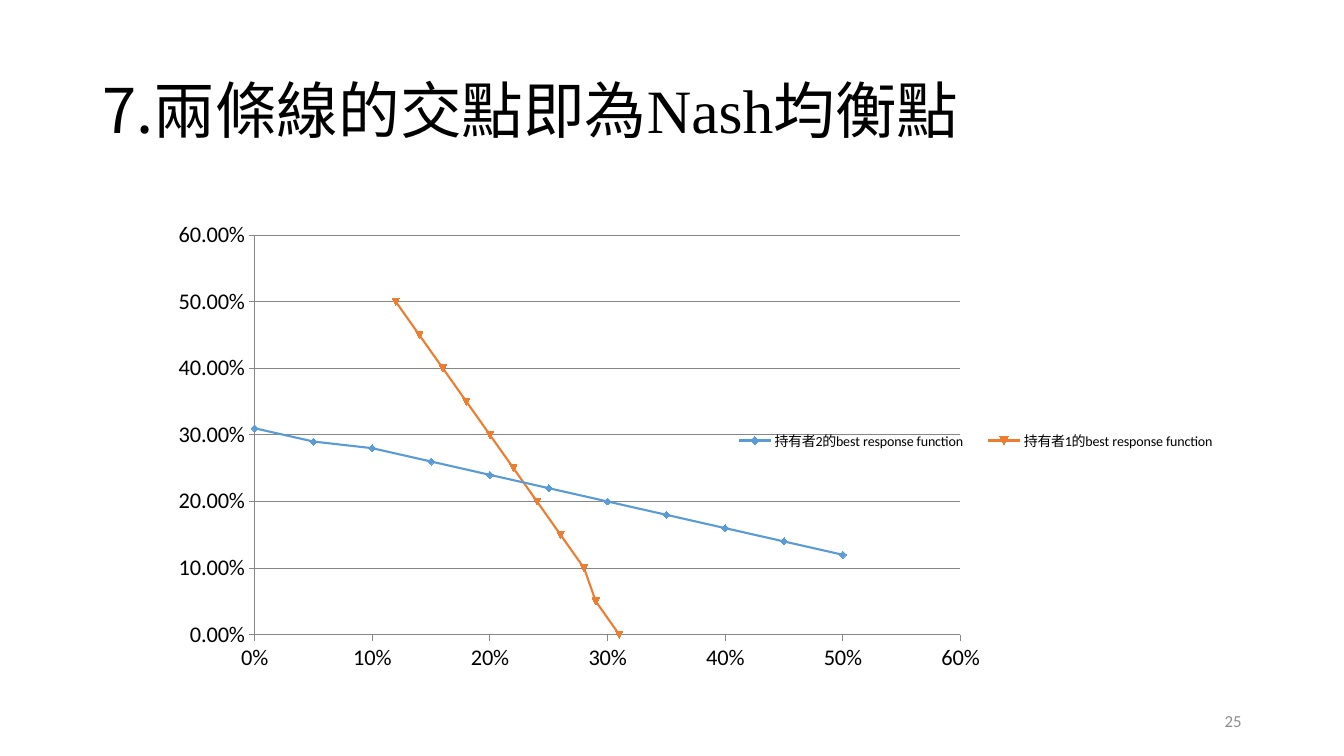
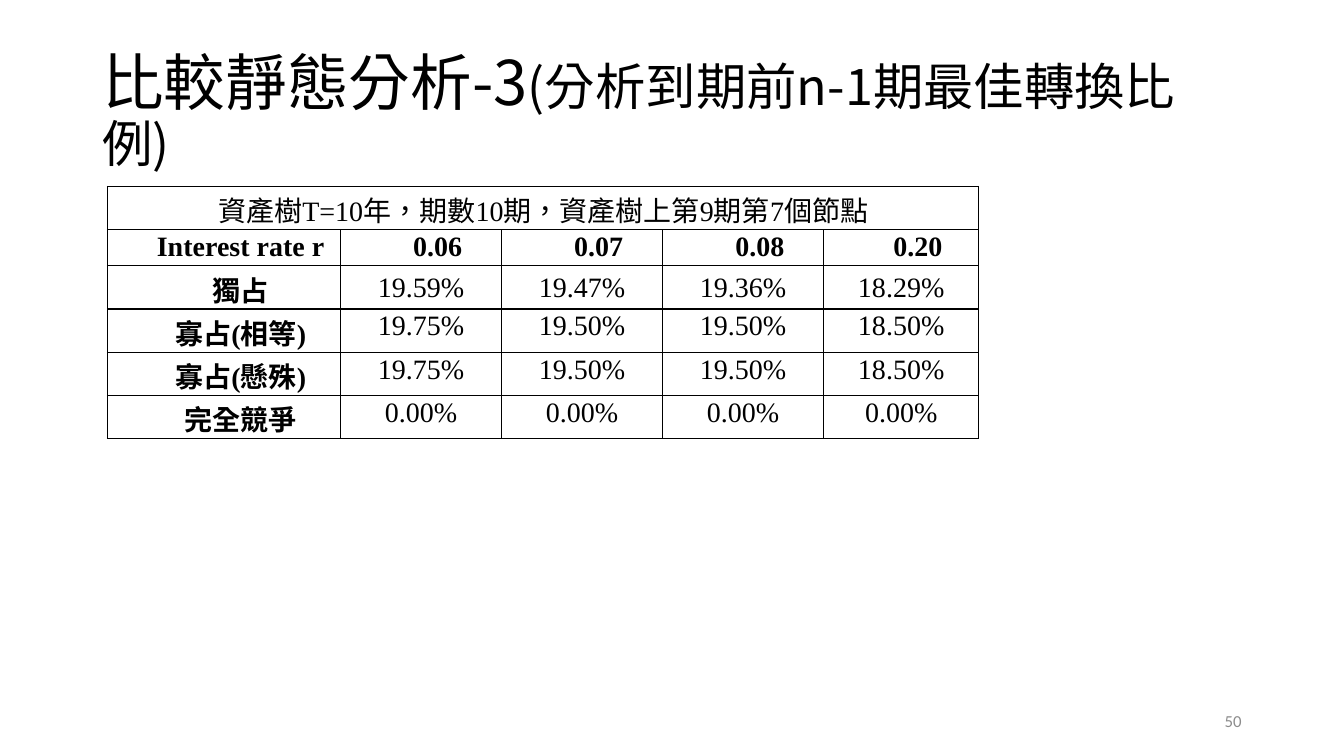
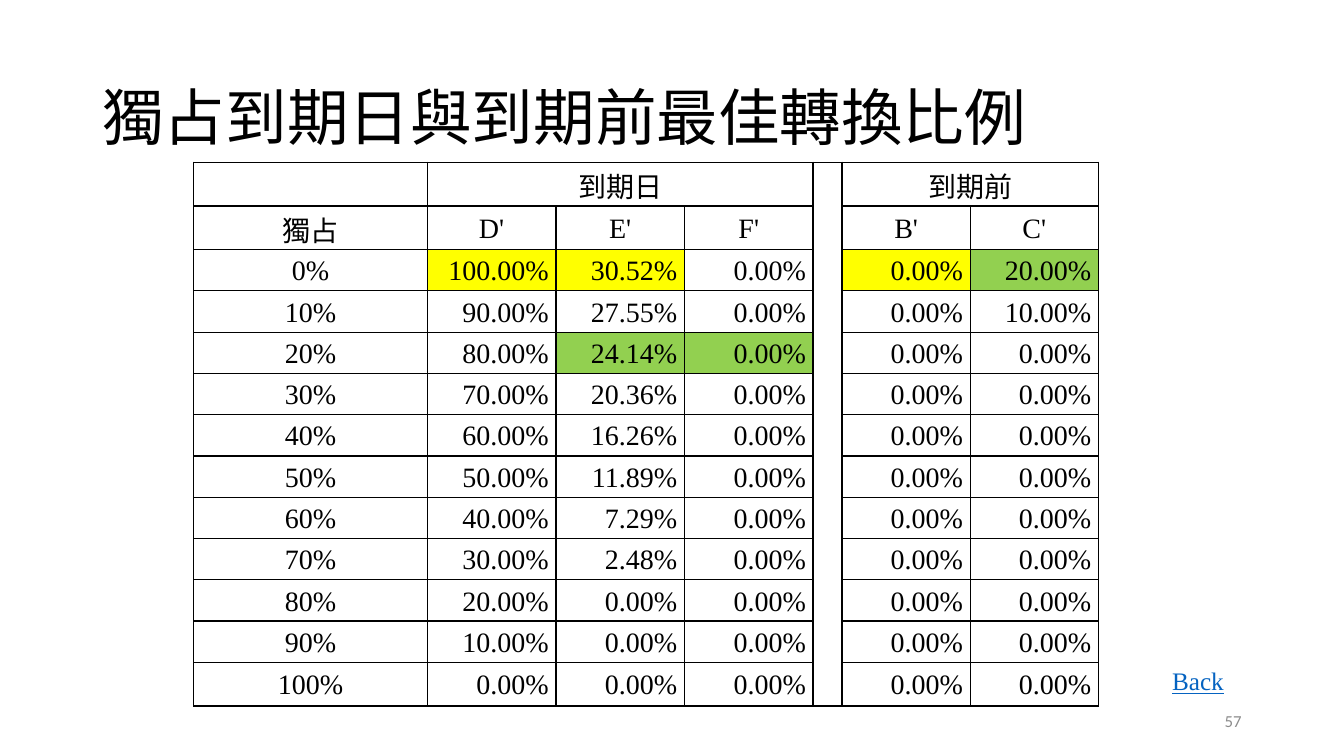
from dataclasses import dataclass
from lxml.etree import SubElement
from pptx import Presentation
from pptx.chart.data import XyChartData
from pptx.dml.color import RGBColor
from pptx.enum.chart import XL_CHART_TYPE, XL_LEGEND_POSITION, XL_TICK_MARK
from pptx.enum.text import MSO_ANCHOR, PP_ALIGN
from pptx.oxml import parse_xml
from pptx.oxml.ns import nsdecls, qn
from pptx.util import Cm, Pt


@dataclass(frozen=True)
class Theme:
    ink: str = "000000"
    muted: str = "8C8C8C"
    link: str = "0563C1"
    rule: str = "868686"
    yellow: str = "FFFF00"
    green: str = "92D050"
    response_2: str = "5B9BD5"
    response_1: str = "ED7D31"
    cjk: str = "Noto Sans CJK SC"
    serif: str = "Times New Roman"
    sans: str = "Calibri"
    language: str = "zh-TW"
    title: int = 44
    subtitle: int = 36
    table: int = 20
    back: int = 18
    axis: int = 16
    page: int = 12
    legend: int = 10


THEME = Theme()
SLIDE_SIZE = (33.87, 19.05)
TITLE_BOX = (2.33, 1.01, 29.21, 3.68)
PAGE_BOX = (23.92, 17.66, 7.62, 1.01)
CHART_BOX = (2.33, 5.08, 29.21, 12.09)
RATES_BOX = (2.71, 4.7, 21.97, 6.3)
MONOPOLY_BOX = (4.88, 4.09, 22.76, 13.7)
BACK_BOX = (29.29, 16.64, 1.83, 1.02)


def lengths(box):
    return [Cm(side) for side in box]


def style_run(run, font, size, color=THEME.ink, bold=False, underline=False):
    run.font.name = font
    run.font.size = Pt(size)
    run.font.bold = bold
    run.font.underline = underline
    run.font.color.rgb = RGBColor.from_string(color)
    run.font._element.set("lang", THEME.language)
    SubElement(run.font._element, qn("a:ea")).set("typeface", THEME.cjk)


def add_text(slide, box, pieces, align=PP_ALIGN.LEFT, anchor=MSO_ANCHOR.MIDDLE,
             wrap=True, spacing=1.0, **look):
    frame = slide.shapes.add_textbox(*lengths(box)).text_frame
    frame.word_wrap = wrap
    frame.vertical_anchor = anchor
    line = frame.paragraphs[0]
    line.alignment = align
    line.line_spacing = spacing
    for words, font, size in pieces:
        run = line.add_run()
        run.text = words
        style_run(run, font, size, **look)
    return line


def start_slide(deck, title, page, spacing=0.9):
    slide = deck.slides.add_slide(deck.slide_layouts[6])
    heading = add_text(slide, TITLE_BOX, title, spacing=spacing)
    add_text(slide, PAGE_BOX, [(str(page), THEME.sans, THEME.page)],
             align=PP_ALIGN.RIGHT, color=THEME.muted)
    return slide, heading


def place_manually(part, percents, inner=False):
    x, y, width, height = (percent / 100 for percent in percents)
    target = '<c:layoutTarget val="inner"/>' if inner else ""
    layout = parse_xml(
        f'<c:layout {nsdecls("c")}><c:manualLayout>{target}'
        '<c:xMode val="edge"/><c:yMode val="edge"/>'
        f'<c:x val="{x}"/><c:y val="{y}"/><c:w val="{width}"/><c:h val="{height}"/>'
        '</c:manualLayout></c:layout>')
    for previous in part.findall(qn("c:layout")):
        part.remove(previous)
    if inner:
        part.insert(0, layout)
    else:
        part.find(qn("c:legendPos")).addnext(layout)


def style_axis(axis, number_format, gridlines):
    axis.minimum_scale = 0
    axis.maximum_scale = 0.6
    axis.major_unit = 0.1
    axis.has_major_gridlines = gridlines
    axis.major_tick_mark = XL_TICK_MARK.OUTSIDE
    axis.minor_tick_mark = XL_TICK_MARK.NONE
    axis.tick_labels.number_format = number_format
    axis.tick_labels.number_format_is_linked = False
    axis.tick_labels.font.size = Pt(THEME.axis)
    lines = [axis.format.line]
    if gridlines:
        lines.append(axis.major_gridlines.format.line)
    for line in lines:
        line.color.rgb = RGBColor.from_string(THEME.rule)
        line.width = Pt(0.75)


def add_response_chart(slide, box):
    shares = [step / 20 for step in range(11)]
    responses = [0.31, 0.29, 0.28, 0.26, 0.24, 0.22, 0.2, 0.18, 0.16, 0.14, 0.12]
    data = XyChartData(number_format="0.00%")
    for holder, xs, ys in ((2, shares, responses), (1, responses, shares)):
        curve = data.add_series(f"持有者{holder}的best response function")
        for x, y in zip(xs, ys):
            curve.add_data_point(x, y)
    chart = slide.shapes.add_chart(
        XL_CHART_TYPE.XY_SCATTER_SMOOTH, *lengths(box), data).chart
    chart.has_title = False
    chart.font.name = THEME.sans
    chart.font.size = Pt(THEME.legend)
    chart.font.color.rgb = RGBColor.from_string(THEME.ink)
    chart.plots[0].vary_by_categories = False
    style_axis(chart.category_axis, "0%", False)
    style_axis(chart.value_axis, "0.00%", True)
    colors = (THEME.response_2, THEME.response_1)
    for number, (curve, color) in enumerate(zip(chart.plots[0].series, colors), 1):
        rgb = RGBColor.from_string(color)
        curve.smooth = True
        curve.format.line.color.rgb = rgb
        curve.format.line.width = Pt(1.5)
        curve.marker.size = 5
        curve.marker.format.fill.solid()
        curve.marker.format.fill.fore_color.rgb = rgb
        curve.marker.format.line.color.rgb = rgb
        curve._element.find(qn("c:idx")).set("val", str(number))
    chart.has_legend = True
    chart.legend.position = XL_LEGEND_POSITION.RIGHT
    chart.legend.include_in_layout = False
    chart.legend.font.size = Pt(THEME.legend)
    place_manually(chart.legend._element, (54, 46.8, 44.4, 6))
    plot_area = chart._chartSpace.chart.plotArea
    place_manually(plot_area, (14, 7, 60.9, 83.3), inner=True)


def add_grid(slide, box, widths, heights):
    table = slide.shapes.add_table(
        len(heights), len(widths), *lengths(box)).table
    table.first_row = False
    table.horz_banding = False
    for column, width in zip(table.columns, widths):
        column.width = Cm(width)
    for row, height in zip(table.rows, heights):
        row.height = Cm(height)
    for cell in table.iter_cells():
        properties = cell._tc.get_or_add_tcPr()
        for edge in ("a:lnL", "a:lnR", "a:lnT", "a:lnB"):
            border = SubElement(properties, qn(edge), w=str(Pt(1)))
            fill = SubElement(border, qn("a:solidFill"))
            SubElement(fill, qn("a:srgbClr"), val=THEME.ink)
        cell.fill.background()
        cell.margin_left = cell.margin_right = Cm(0.18)
        cell.margin_top = cell.margin_bottom = Cm(0)
    return table


def fill_cell(cell, words, align=PP_ALIGN.CENTER, anchor=MSO_ANCHOR.MIDDLE,
              bold=False, indent=0.0, spacing=1.07):
    cell.text_frame.text = words
    cell.vertical_anchor = anchor
    line = cell.text_frame.paragraphs[0]
    line.alignment = align
    line.line_spacing = spacing
    if indent:
        line._p.get_or_add_pPr().set("marL", str(Cm(indent)))
    for run in line.runs:
        style_run(run, THEME.serif, THEME.table, bold=bold)


def add_rates_table(slide, box):
    rows = [
        ("Interest rate r", "0.06", "0.07", "0.08", "0.20"),
        ("獨占", "19.59%", "19.47%", "19.36%", "18.29%"),
        ("寡占(相等)", "19.75%", "19.50%", "19.50%", "18.50%"),
        ("寡占(懸殊)", "19.75%", "19.50%", "19.50%", "18.50%"),
        ("完全競爭",) + ("0.00%",) * 4,
    ]
    table = add_grid(slide, box, [5.87] + [4.06] * 3 + [3.91],
                     [1.09, 0.85] + [1.09] * 4)
    table.cell(0, 0).merge(table.cell(0, 4))
    fill_cell(table.cell(0, 0), "資產樹T=10年，期數10期，資產樹上第9期第7個節點",
              anchor=MSO_ANCHOR.TOP)
    for r, row in enumerate(rows, 1):
        for c, words in enumerate(row):
            heading = r == 1 or c == 0
            centred = r == 2 and c > 0
            fill_cell(table.cell(r, c), words, bold=heading,
                      anchor=MSO_ANCHOR.MIDDLE if centred else MSO_ANCHOR.TOP,
                      indent=0.84 if heading else 0,
                      spacing=1.07 if heading else 1.06)


def add_monopoly_table(slide, box):
    at_maturity = [30.52, 27.55, 24.14, 20.36, 16.26, 11.89, 7.29, 2.48, 0, 0, 0]
    highlights = {(2, 1): THEME.yellow, (2, 2): THEME.yellow, (2, 5): THEME.yellow,
                  (2, 6): THEME.green, (4, 2): THEME.green, (4, 3): THEME.green}
    gap = 4
    table = add_grid(slide, box, [5.89] + [3.24] * 3 + [0.73] + [3.23] * 2,
                     [1.1] * 2 + [1.04] * 10 + [1.1])
    table.cell(0, 1).merge(table.cell(0, 3))
    table.cell(0, gap).merge(table.cell(len(at_maturity) + 1, gap))
    table.cell(0, 5).merge(table.cell(0, 6))
    fill_cell(table.cell(0, 1), "到期日")
    fill_cell(table.cell(0, 5), "到期前")
    for c, words in enumerate(("獨占", "D'", "E'", "F'", None, "B'", "C'")):
        if c != gap:
            fill_cell(table.cell(1, c), words)
    for step, best in enumerate(at_maturity):
        r = step + 2
        converted = step * 10
        fill_cell(table.cell(r, 0), f"{converted}%")
        values = {1: 100 - converted, 2: best, 3: 0, 5: 0, 6: max(20 - converted, 0)}
        for c, value in values.items():
            fill_cell(table.cell(r, c), f"{value:.2f}%", align=PP_ALIGN.RIGHT)
    for (r, c), color in highlights.items():
        fill = table.cell(r, c).fill
        fill.solid()
        fill.fore_color.rgb = RGBColor.from_string(color)


def build_nash_slide(deck):
    slide, _ = start_slide(deck, [
        ("7.兩條線的交點即為", THEME.cjk, THEME.title),
        ("Nash", THEME.serif, THEME.title),
        ("均衡點", THEME.cjk, THEME.title)], 25)
    add_response_chart(slide, CHART_BOX)


def build_rates_slide(deck):
    slide, _ = start_slide(deck, [
        ("比較靜態分析-3", THEME.cjk, THEME.title),
        ("(分析到期前n-1期最佳轉換比例)", THEME.cjk, THEME.subtitle)], 50)
    add_rates_table(slide, RATES_BOX)


def build_monopoly_slide(deck):
    slide, heading = start_slide(deck, [
        ("獨占到期日與到期前最佳轉換比例", THEME.serif, THEME.title)], 57, spacing=1.07)
    heading.space_after = Pt(8)
    add_monopoly_table(slide, MONOPOLY_BOX)
    add_text(slide, BACK_BOX, [("Back", THEME.serif, THEME.back)],
             anchor=MSO_ANCHOR.TOP, wrap=False, color=THEME.link, underline=True)


def main():
    deck = Presentation()
    deck.slide_width, deck.slide_height = lengths(SLIDE_SIZE)
    build_nash_slide(deck)
    build_rates_slide(deck)
    build_monopoly_slide(deck)
    deck.save("out.pptx")


if __name__ == "__main__":
    main()
